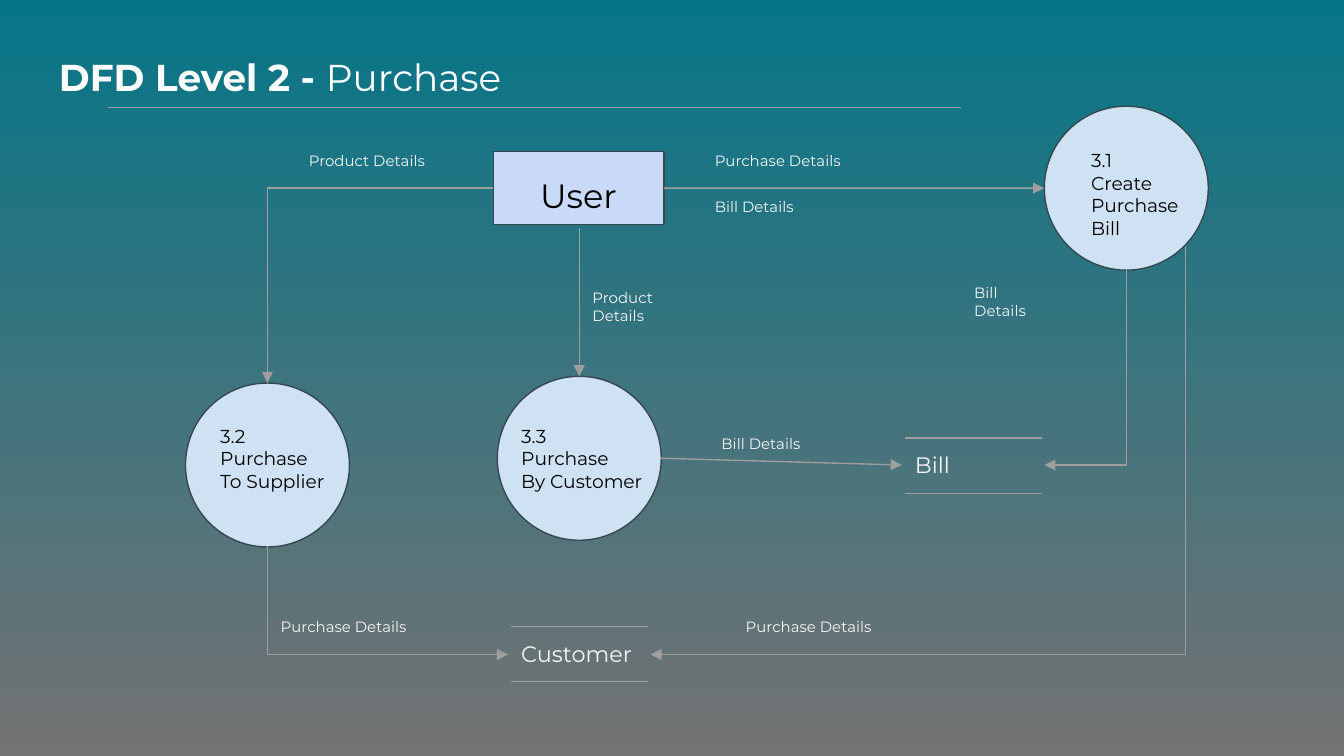
from lxml.etree import SubElement
from pptx import Presentation
from pptx.dml.color import RGBColor
from pptx.enum.shapes import MSO_CONNECTOR, MSO_SHAPE
from pptx.enum.text import MSO_AUTO_SIZE
from pptx.oxml.ns import qn
from pptx.util import Inches, Pt

FONT = "Montserrat"
TEAL = RGBColor(0x06, 0x75, 0x88)
GREY = RGBColor(0x73, 0x73, 0x73)
WHITE = RGBColor(0xFF, 0xFF, 0xFF)
OFF_WHITE = RGBColor(0xF5, 0xF5, 0xF5)
BLACK = RGBColor(0x00, 0x00, 0x00)
ENTITY_FILL = RGBColor(0xC9, 0xDA, 0xF8)
PROCESS_FILL = RGBColor(0xCF, 0xE2, 0xF3)
OUTLINE = RGBColor(0x37, 0x47, 0x4F)
FLOW = RGBColor(0x9E, 0x9E, 0x9E)

DIAMETER = 1.22
STORE_WIDTH, STORE_HEIGHT = 1.02, 0.41


class FlowDiagram:
    def __init__(self, slide):
        self.s = slide

    def background(self, top, bottom):
        fill = self.s.background.fill
        fill.gradient()
        fill.gradient_angle = 270
        for stop, color, position in zip(fill.gradient_stops, (top, bottom), (0, 1)):
            stop.color.rgb = color
            stop.position = position

    def text(self, x, y, w, h, lines, size=8, color=OFF_WHITE):
        tf = self.s.shapes.add_textbox(*map(Inches, (x, y, w, h))).text_frame
        tf.word_wrap = True
        tf.auto_size = MSO_AUTO_SIZE.SHAPE_TO_FIT_TEXT
        tf.margin_left = tf.margin_right = Inches(0.1)
        tf.margin_top = tf.margin_bottom = Inches(0.1)
        tf.text = lines
        for p in tf.paragraphs:
            for r in p.runs:
                self.style_run(r, size, color)
        return tf

    def style_run(self, r, size, color, bold=False):
        r.font.name = FONT
        r.font.size = Pt(size)
        r.font.color.rgb = color
        r.font.bold = bold

    def title(self, strong, light):
        tf = self.text(0.34, 0.28, 7.8, 0.54, strong, 20, WHITE)
        p = tf.paragraphs[0]
        p.line_spacing = 1.08
        p.space_after = Pt(8)
        p.runs[0].font.bold = True
        r = p.add_run()
        r.text = light
        self.style_run(r, 20, WHITE)

    def shape(self, kind, x, y, w, h, fill):
        sp = self.s.shapes.add_shape(kind, *map(Inches, (x, y, w, h)))
        sp.shadow.inherit = False
        sp.fill.solid()
        sp.fill.fore_color.rgb = fill
        sp.line.color.rgb = OUTLINE
        sp.line.width = Pt(0.75)
        return sp

    def process(self, x, y, label_box, lines):
        self.shape(MSO_SHAPE.OVAL, x, y, DIAMETER, DIAMETER, PROCESS_FILL)
        self.text(*label_box, lines, 10, BLACK)

    def store(self, x, y, name):
        """Data store: a name between two horizontal rules."""
        self.text(x - 0.02, y, 1.07, 0.4, name, 12)
        for rule_y in (y, y + STORE_HEIGHT):
            self.line((x, rule_y), (x + STORE_WIDTH, rule_y))

    def line(self, start, end, arrow=False, kind=MSO_CONNECTOR.STRAIGHT):
        cxn = self.s.shapes.add_connector(kind, *map(Inches, (*start, *end)))
        cxn.line.color.rgb = FLOW
        cxn.line.width = Pt(0.75)
        props = cxn.element.spPr
        if arrow:
            SubElement(props.find(qn("a:ln")), qn("a:tailEnd"), type="triangle")
        SubElement(props, qn("a:effectLst"))
        return cxn

    def bent_flow(self, start, end, down_first=True):
        """Arrow with one corner; a downward first leg needs a quarter turn."""
        if down_first:
            (x1, y1), (x2, y2) = start, end
            mid_x, mid_y = (x1 + x2) / 2, (y1 + y2) / 2
            half_w, half_h = (y2 - y1) / 2, (x1 - x2) / 2
            start = (mid_x - half_w, mid_y - half_h)
            end = (mid_x + half_w, mid_y + half_h)
        cxn = self.line(start, end, True, MSO_CONNECTOR.ELBOW)
        props = cxn.element.spPr
        props.find(qn("a:prstGeom")).set("prst", "bentConnector2")
        if down_first:
            props.find(qn("a:xfrm")).set("rot", str(90 * 60000))


def main():
    prs = Presentation()
    prs.slide_width = Inches(10)
    prs.slide_height = prs.slide_width * 9 // 16
    s = prs.slides.add_slide(prs.slide_layouts[6])
    dfd = FlowDiagram(s)

    dfd.background(TEAL, GREY)
    dfd.title("DFD Level 2 - ", "Purchase")
    dfd.line((0.8, 0.8), (7.15, 0.8))

    user = dfd.shape(MSO_SHAPE.RECTANGLE, 3.67, 1.13, 1.27, 0.54, ENTITY_FILL)
    dfd.text(3.92, 1.2, 0.78, 0.5, "User", 18, BLACK)

    dfd.process(7.77, 0.79, (8.02, 1.01, 1.18, 0.88), "3.1\nCreate\nPurchase\nBill")
    dfd.process(1.38, 2.85, (1.54, 3.06, 1.07, 0.71), "3.2\nPurchase\nTo Supplier")
    dfd.process(3.7, 2.8, (3.78, 3.06, 1.18, 0.71), "3.3\nPurchase\nBy Customer")
    dfd.store(3.8, 4.66, "Customer")
    dfd.store(6.73, 3.26, "Bill")

    dfd.line((4.94, 1.4), (7.77, 1.4), arrow=True).begin_connect(user, 3)
    dfd.line((4.31, 1.7), (4.31, 2.8), arrow=True)
    dfd.line((4.92, 3.41), (6.71, 3.46), arrow=True)
    dfd.bent_flow((3.67, 1.4), (1.99, 2.85), down_first=False)
    dfd.bent_flow((1.99, 4.07), (3.78, 4.87))
    dfd.bent_flow((8.38, 2.01), (7.77, 3.46))
    dfd.bent_flow((8.82, 1.83), (4.84, 4.87))

    for x, y, w, h, label in (
        (2.2, 1.06, 1.27, 0.34, "Product Details"),
        (5.22, 1.06, 1.27, 0.34, "Purchase Details"),
        (5.22, 1.4, 1.27, 0.34, "Bill Details"),
        (4.31, 2.05, 1.07, 0.47, "Product\nDetails"),
        (7.15, 2.01, 0.61, 0.47, "Bill Details"),
        (5.27, 3.17, 0.93, 0.34, "Bill Details"),
        (1.99, 4.53, 1.27, 0.34, "Purchase Details"),
        (5.45, 4.53, 1.27, 0.34, "Purchase Details"),
    ):
        dfd.text(x, y, w, h, label)

    prs.save("out.pptx")


if __name__ == "__main__":
    main()
